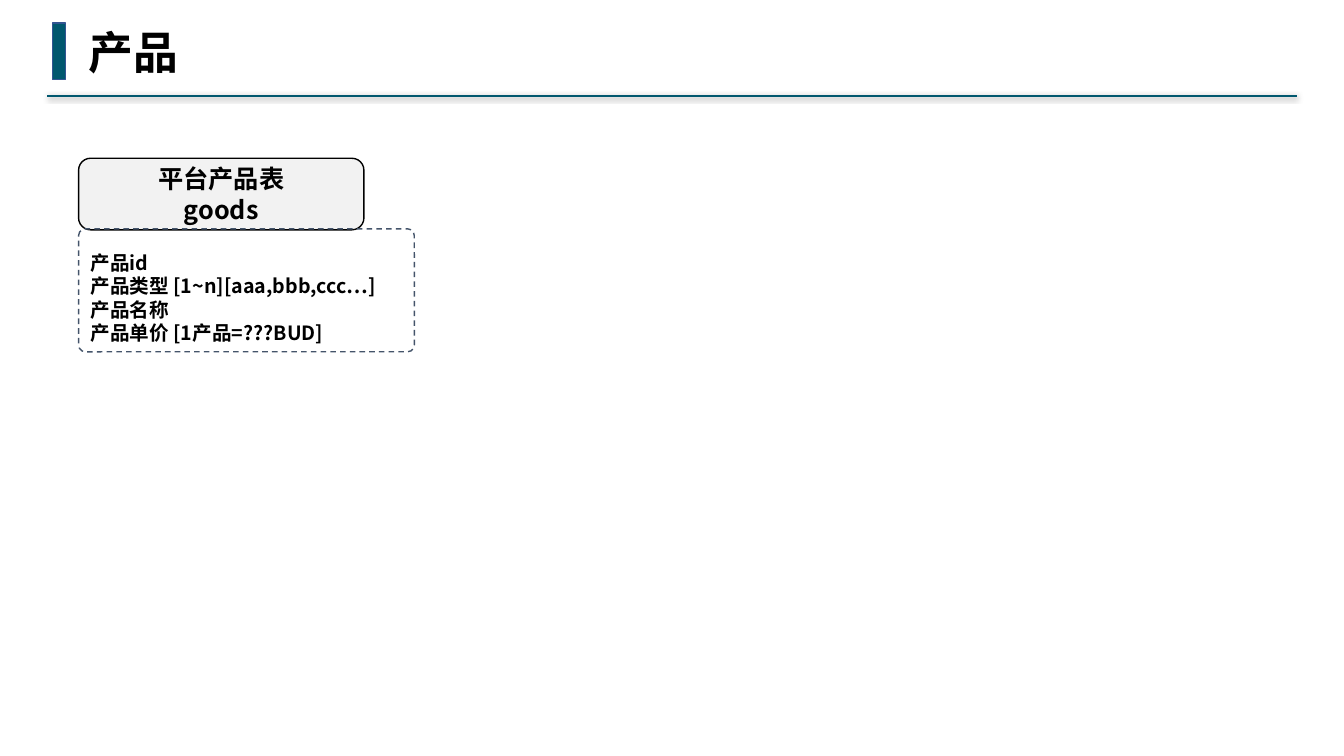
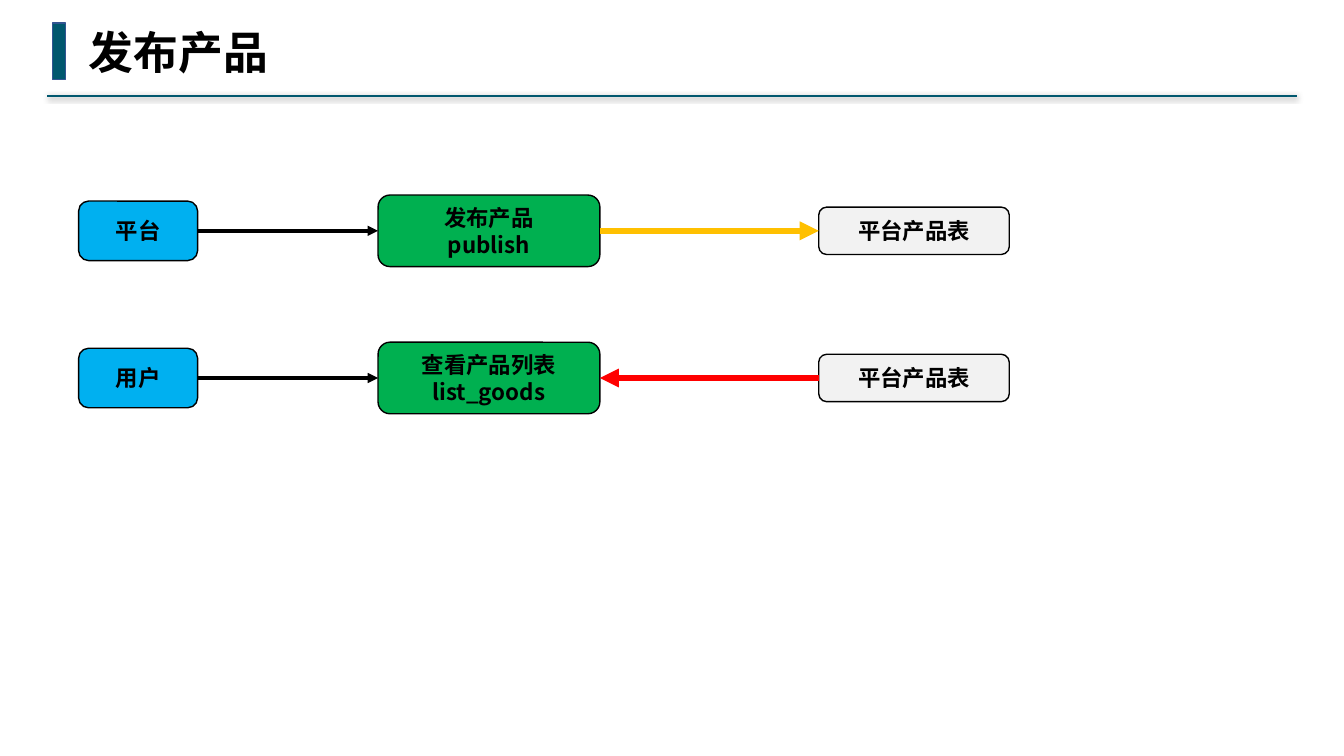
from lxml import etree
from pptx import Presentation
from pptx.dml.color import RGBColor
from pptx.enum import dml, shapes, text
from pptx.oxml.ns import qn
from pptx.util import Inches, Pt

TEAL = RGBColor(0x00, 0x57, 0x6E)
BAND_EDGE = RGBColor(0x32, 0x54, 0x91)
SLATE = RGBColor(0x44, 0x54, 0x6A)
BLACK = RGBColor(0, 0, 0)
GREY = RGBColor(0xF2, 0xF2, 0xF2)
BLUE = RGBColor(0x00, 0xB0, 0xF0)
GREEN = RGBColor(0x00, 0xB0, 0x50)
AMBER = RGBColor(0xFF, 0xC0, 0x00)
RED = RGBColor(0xFF, 0x00, 0x00)

BODY_FONT = "Noto Sans CJK SC"
TITLE_FONT = "DejaVu Sans Mono"
LEFT = 0.78
RECT = shapes.MSO_SHAPE.RECTANGLE
ROUNDED = shapes.MSO_SHAPE.ROUNDED_RECTANGLE
LEFT_SITE, RIGHT_SITE = 1, 3


# Text
def write(tf, lines, size, align, font=BODY_FONT):
    for i, line in enumerate(lines):
        p = tf.paragraphs[0] if i == 0 else tf.add_paragraph()
        p.alignment = align
        r = p.add_run()
        r.text = line
        r.font.size = Pt(size)
        r.font.bold = True
        r.font.color.rgb = BLACK
        r.font.name = font
        ea = etree.SubElement(r.font._element, qn("a:ea"))
        ea.set("typeface", BODY_FONT)


# Shapes
def add_box(slide, kind, left, top, width, height, fill, edge):
    sp = slide.shapes.add_shape(kind, Inches(left), Inches(top),
                                Inches(width), Inches(height))
    sp.shadow.inherit = False
    if fill is None:
        sp.fill.background()
    else:
        sp.fill.solid()
        sp.fill.fore_color.rgb = fill
    sp.line.color.rgb = edge
    sp.line.width = Pt(1)
    return sp


def add_node(slide, left, top, width, height, fill, lines, size=16):
    sp = add_box(slide, ROUNDED, left, top, width, height, fill, BLACK)
    tf = sp.text_frame
    tf.word_wrap = False
    tf.vertical_anchor = text.MSO_ANCHOR.MIDDLE
    tf.margin_left = tf.margin_right = Inches(0.04)
    tf.margin_top = tf.margin_bottom = Inches(0.04)
    write(tf, lines, size, text.PP_ALIGN.CENTER)
    return sp


def add_field_list(slide, left, top, width, height, lines):
    sp = add_box(slide, ROUNDED, left, top, width, height, None, SLATE)
    sp.adjustments[0] = 0.055
    sp.line.dash_style = dml.MSO_LINE.DASH
    tf = sp.text_frame
    tf.word_wrap = True
    tf.vertical_anchor = text.MSO_ANCHOR.BOTTOM
    write(tf, lines, 14, text.PP_ALIGN.LEFT)


# Lines
def add_line(slide, start, end, color, width):
    line = slide.shapes.add_connector(
        shapes.MSO_CONNECTOR.STRAIGHT,
        Inches(start[0]), Inches(start[1]), Inches(end[0]), Inches(end[1]))
    line.line.color.rgb = color
    line.line.width = Pt(width)
    effects = etree.SubElement(line._element.spPr, qn("a:effectLst"))
    return line, effects


def add_arrow(slide, source, source_site, target, target_site, color, width):
    line, _ = add_line(slide, (0, 0), (1, 0), color, width)
    line.begin_connect(source, source_site)
    line.end_connect(target, target_site)
    tail = etree.SubElement(line.line._get_or_add_ln(), qn("a:tailEnd"))
    tail.set("type", "triangle")


def add_title_rule(slide):
    _, effects = add_line(slide, (12.86, 0.95), (0.47, 0.95), TEAL, 1.5)
    shadow = etree.SubElement(effects, qn("a:outerShdw"), blurRad=str(Pt(4)),
                              dist=str(Pt(1)), dir="5400000", rotWithShape="0")
    color = etree.SubElement(shadow, qn("a:srgbClr"), val=str(BLACK))
    etree.SubElement(color, qn("a:alpha"), val="40000")


# Slide frame: title, band and rule
def add_titled_slide(prs, title, title_width):
    slide = prs.slides.add_slide(prs.slide_layouts[5])
    sp = slide.shapes.title
    sp.left, sp.top = Inches(LEFT), Inches(0.19)
    sp.width, sp.height = Inches(title_width), Inches(0.64)
    tf = sp.text_frame
    tf.word_wrap = False
    tf.auto_size = text.MSO_AUTO_SIZE.SHAPE_TO_FIT_TEXT
    tf.vertical_anchor = text.MSO_ANCHOR.TOP
    write(tf, [title], 32, text.PP_ALIGN.LEFT, TITLE_FONT)
    add_box(slide, RECT, 0.52, 0.23, 0.13, 0.56, TEAL, BAND_EDGE)
    add_title_rule(slide)
    return slide


# Slide 1: table structure
def build_product(prs):
    slide = add_titled_slide(prs, "产品", 1.1)
    add_node(slide, LEFT, 1.57, 2.83, 0.71, GREY, ["平台产品表", "goods"], 18)
    add_field_list(slide, LEFT, 2.27, 3.33, 1.22, [
        "产品id",
        "产品类型 [1~n][aaa,bbb,ccc…]",
        "产品名称",
        "产品单价 [1产品=???BUD]",
    ])


# Slide 2: actor, action and table in each row
def build_publish(prs):
    slide = add_titled_slide(prs, "发布产品", 2)
    columns = [(LEFT, 1.18, 0.59, BLUE),
               (3.75, 2.2, 0.71, GREEN),
               (8.12, 1.89, 0.47, GREY)]
    rows = [("平台", ["发布产品", "publish"], True),
            ("用户", ["查看产品列表", "list_goods"], False)]
    for i, (actor_name, action_lines, writes) in enumerate(rows):
        middle = 2.29 + i * 1.46
        labels = [[actor_name], action_lines, ["平台产品表"]]
        actor, action, table = [
            add_node(slide, left, middle - height / 2, width, height, fill, lines)
            for (left, width, height, fill), lines in zip(columns, labels)]
        add_arrow(slide, actor, RIGHT_SITE, action, LEFT_SITE, BLACK, 2.5)
        if writes:
            add_arrow(slide, action, RIGHT_SITE, table, LEFT_SITE, AMBER, 4.5)
        else:
            add_arrow(slide, table, LEFT_SITE, action, RIGHT_SITE, RED, 4.5)


def main():
    prs = Presentation()
    prs.slide_width, prs.slide_height = Inches(13.33), Inches(7.5)
    build_product(prs)
    build_publish(prs)
    prs.save("out.pptx")


main()
